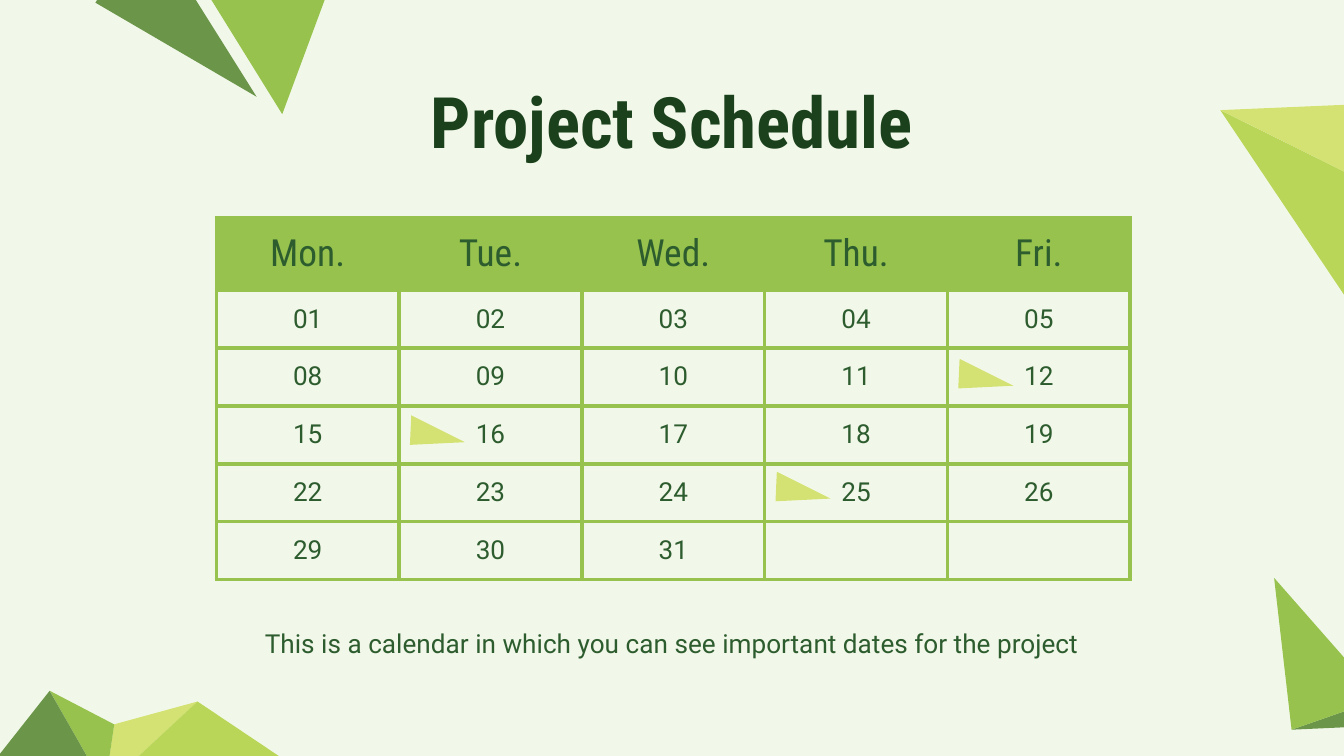
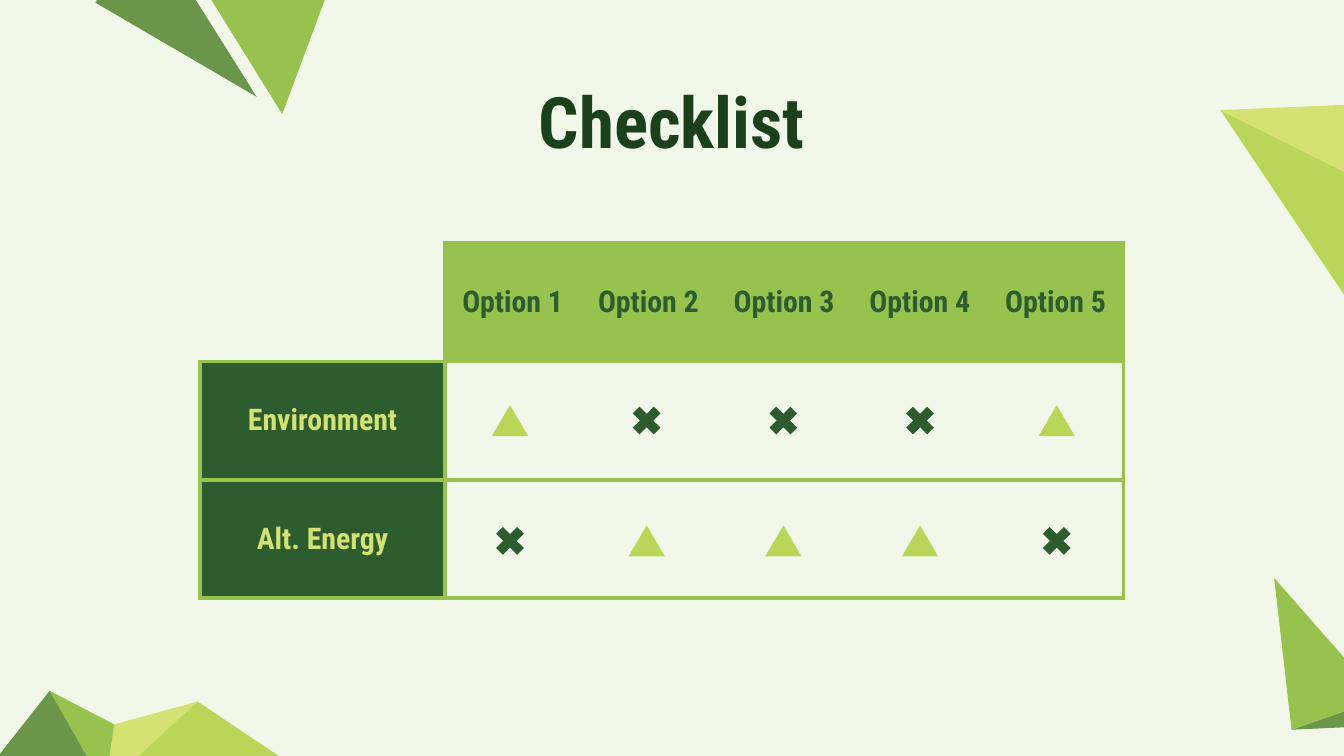
from lxml import etree
from pptx import Presentation
from pptx.dml.color import RGBColor
from pptx.enum.shapes import MSO_SHAPE
from pptx.enum.text import MSO_ANCHOR, MSO_AUTO_SIZE, PP_ALIGN
from pptx.oxml.ns import qn
from pptx.util import Inches, Pt

CENTER, TOP, MIDDLE = PP_ALIGN.CENTER, MSO_ANCHOR.TOP, MSO_ANCHOR.MIDDLE
NO_FIT = MSO_AUTO_SIZE.NONE
TRIANGLE, CROSS = MSO_SHAPE.ISOSCELES_TRIANGLE, MSO_SHAPE.MATH_MULTIPLY

COLS, ROWS, UNIT = 100, 56.25, Inches(0.1)
INSET = 1
PALE, INK, FOREST = "F2F8E9", "1A411B", "2D5C2E"
MOSS, LEAF, LIME, LEMON = "6B964A", "96C24D", "B9D658", "D4E273"

HEAD, BODY = "Roboto Condensed", "Roboto"
TITLE_FONT = {"name": HEAD, "size": Pt(38), "bold": True}
DAY_FONT = {"name": HEAD, "size": Pt(20), "bold": False}
BODY_FONT = {"name": BODY, "size": Pt(14), "bold": False}
LABEL_FONT = {"name": HEAD, "size": Pt(16), "bold": True}

FACETS = [
    (LEMON, [(8.5, 53.9), (7.8, 58.6), (14.7, 52.2)]),
    (LIME, [(7.8, 58.6), (24.1, 58.5), (14.7, 52.2)]),
    (MOSS, [(100.5, 54.1), (102.7, 52), (96.1, 54.3)]),
    (LEAF, [(96.1, 54.3), (102.7, 52), (94.8, 43)]),
    (LIME, [(102, 24.9), (103.5, 14.5), (90.8, 8.2)]),
    (LEMON, [(103.5, 14.5), (100.1, 7.8), (90.8, 8.2)]),
    (LEAF, [(8.5, 53.9), (7.8, 58.6), (3.7, 51.4)]),
    (MOSS, [(-1.9, 58.5), (7.8, 58.6), (3.7, 51.4)]),
    (LEAF, [(27.2, -8.2), (13, -4.4), (21, 8.5)]),
    (MOSS, [(11, -5.7), (7.1, 0.2), (19.1, 7.2)]),
]


def rgb(value):
    """Turn a hex string into a colour."""
    return RGBColor.from_string(value)


def grid(*values):
    """Convert grid columns or rows to lengths."""
    return [int(v * UNIT) for v in values]


class Deck:
    """Hold the deck style and the current slide."""

    def __init__(self):
        """Set up the page, background and corner facets."""
        self.prs = Presentation()
        self.prs.slide_width, self.prs.slide_height = grid(COLS, ROWS)
        self.layout = self.prs.slide_layouts[5]
        fill = self.prs.slide_master.background.fill
        fill.solid()
        fill.fore_color.rgb = rgb(PALE)
        self.s = None

    def slide(self, title):
        """Add a slide with its title."""
        first = self.s is None
        self.s = self.prs.slides.add_slide(self.layout)
        if first:
            self.facets()
        sp = self.s.shapes.title
        sp.left, sp.top, sp.width, sp.height = grid(7.8, 4.8, 84.4, 8)
        self.frame(sp.text_frame, title, TITLE_FONT, INK)

    def facets(self):
        """Place the corner facets on the shared layout."""
        tree = self.layout.shapes._spTree
        for i, (color, points) in enumerate(FACETS):
            sp = self.polygon(points, color)
            sp._element.nvSpPr.cNvPr.id = 20 + i
            tree.append(sp._element)

    def inset(self, box):
        """Set equal margins on a text frame or cell."""
        for side in ("left", "right", "top", "bottom"):
            setattr(box, f"margin_{side}", grid(INSET)[0])

    def frame(self, tf, text, font, color):
        """Fill a text frame with one centred paragraph."""
        tf.word_wrap, tf.auto_size, tf.vertical_anchor = True, NO_FIT, TOP
        self.inset(tf)
        return self.paragraph(tf, text, font, color)

    def paragraph(self, tf, text, font, color):
        """Fill the first paragraph with one formatted run."""
        p = tf.paragraphs[0]
        p.alignment = CENTER
        r = p.add_run()
        r.text = text
        for key, value in font.items():
            setattr(r.font, key, value)
        r.font.color.rgb = rgb(color)
        return p

    def paint(self, sp, color):
        """Give a shape a flat fill without line or shadow."""
        sp.shadow.inherit = False
        sp.fill.solid()
        sp.fill.fore_color.rgb = rgb(color)
        sp.line.fill.background()
        return sp

    def polygon(self, points, color):
        """Draw a closed outline."""
        start, *rest = [grid(*pt) for pt in points]
        builder = self.s.shapes.build_freeform(*start)
        builder.add_line_segments(rest, close=True)
        return self.paint(builder.convert_to_shape(), color)

    def icon(self, kind, cx, cy, w, h, color):
        """Draw a preset shape around a centre."""
        box = grid(cx - w / 2, cy - h / 2, w, h)
        return self.paint(self.s.shapes.add_shape(kind, *box), color)

    def text(self, x, y, w, h, text):
        """Add a centred line of body text."""
        tf = self.s.shapes.add_textbox(*grid(x, y, w, h)).text_frame
        self.frame(tf, text, BODY_FONT, FOREST).space_after = Pt(16)

    def table(self, x, y, widths, heights):
        """Add a plain table."""
        box = grid(x, y, sum(widths), sum(heights))
        table = self.s.shapes.add_table(len(heights), len(widths), *box).table
        table.first_row = table.horz_banding = False
        for col, w in zip(table.columns, grid(*widths)):
            col.width = w
        for row, h in zip(table.rows, grid(*heights)):
            row.height = h
        return table

    def cell(self, cell, text="", font=BODY_FONT, color=FOREST, fill=None, sides="LRTB"):
        """Style one cell with its borders, fill and text."""
        tc_pr = cell._tc.get_or_add_tcPr()
        for side in "LRTB":
            ln = etree.SubElement(tc_pr, qn(f"a:ln{side}"), w=str(Pt(2.25)))
            if side in sides:
                solid = etree.SubElement(ln, qn("a:solidFill"))
                etree.SubElement(solid, qn("a:srgbClr"), val=LEAF)
            else:
                etree.SubElement(ln, qn("a:noFill"))
        if fill:
            cell.fill.solid()
            cell.fill.fore_color.rgb = rgb(fill)
        else:
            cell.fill.background()
        if text:
            cell.vertical_anchor = MIDDLE
            self.inset(cell)
            self.paragraph(cell.text_frame, text, font, color)


def schedule(deck):
    """Build the calendar slide."""
    deck.slide("Project Schedule")
    days = ["Mon.", "Tue.", "Wed.", "Thu.", "Fri."]
    milestones = {12, 16, 25}
    left, top, col_w, head_h, row_h, weeks = 16.1, 16.2, 13.6, 5.4, 4.2, 5
    table = deck.table(left, top, [col_w] * len(days), [head_h] + [row_h] * weeks)
    for c, day in enumerate(days):
        deck.cell(table.cell(0, c), day, DAY_FONT, fill=LEAF)
        for week in range(weeks):
            date = 7 * week + c + 1
            deck.cell(table.cell(week + 1, c), f"{date:02}" if date <= 31 else "")
            if date in milestones:
                x = left + c * col_w + 0.8
                y = top + head_h + week * row_h + 0.9
                deck.polygon([(x, y + 2.2), (x + 4.1, y + 2), (x + 0.1, y)], LEMON)
    deck.text(7.7, 45.7, 84.6, 3.6,
              "This is a calendar in which you can see important dates for the project")


def checklist(deck):
    """Build the options slide."""
    deck.slide("Checklist")
    checks = {"Environment": "^xxx^", "Alt. Energy": "x^^^x"}
    icons = {"^": (TRIANGLE, 2.7, 2.3, LIME), "x": (CROSS, 3, 3, FOREST)}
    options = 5
    table = deck.table(14.9, 18.1, [18.2] + [10.1] * options, [8.8] * 3)
    deck.cell(table.cell(0, 0), sides="RB")
    for c in range(options):
        deck.cell(table.cell(0, c + 1), f"Option {c + 1}", LABEL_FONT, fill=LEAF)
    for r, (label, marks) in enumerate(checks.items()):
        deck.cell(table.cell(r + 1, 0), label, LABEL_FONT, LEMON, FOREST)
        for c, mark in enumerate(marks):
            sides = "TB" + {0: "L", options - 1: "R"}.get(c, "")
            deck.cell(table.cell(r + 1, c + 1), sides=sides)
            kind, w, h, color = icons[mark]
            sp = deck.icon(kind, 37.95 + 10.17 * c, 31.3 + 8.95 * r, w, h, color)
            if kind == CROSS:
                sp.adjustments[0] = 0.235


def main():
    """Build and save the deck."""
    deck = Deck()
    schedule(deck)
    checklist(deck)
    deck.prs.save("out.pptx")


if __name__ == "__main__":
    main()
